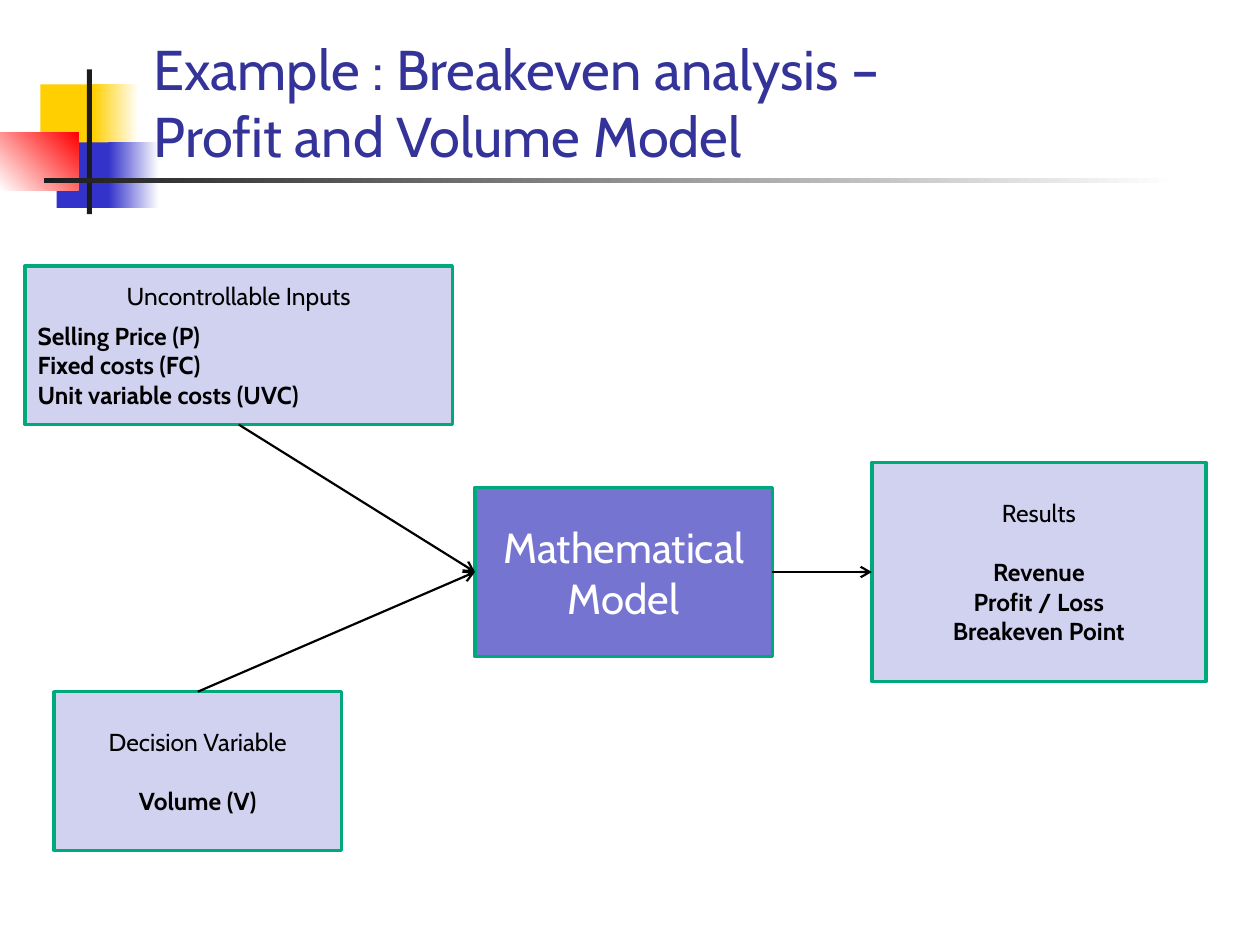
"""Build the breakeven analysis slide: two inputs, a model and its results."""
from pptx import Presentation
from pptx.dml.color import RGBColor
from pptx.enum import shapes, text
from pptx.oxml import ns
from pptx.util import Inches, Pt
from lxml import etree

YELLOW = RGBColor(0xFF, 0xCF, 0x01)
BLUE = RGBColor(0x33, 0x33, 0xCC)
RED = RGBColor(0xFF, 0x00, 0x00)
CHARCOAL = RGBColor(0x1C, 0x1C, 0x1C)
WHITE = RGBColor(0xFF, 0xFF, 0xFF)
BLACK = RGBColor(0x00, 0x00, 0x00)
NAVY = RGBColor(0x33, 0x33, 0x99)
VIOLET = RGBColor(0x75, 0x75, 0xD1)
LAVENDER = RGBColor(0xD1, 0xD1, 0xF0)
GREEN = RGBColor(0x00, 0xA9, 0x7C)
LEFT, CENTER = text.PP_ALIGN.LEFT, text.PP_ALIGN.CENTER

deck = Presentation()
deck.slide_width, deck.slide_height = Inches(10), Inches(7.5)
page = deck.slides.add_slide(deck.slide_layouts[6])


def add_rectangle(place, start, end=None, angle=0):
    box = page.shapes.add_shape(shapes.MSO_SHAPE.RECTANGLE, *map(Inches, place))
    box.shadow.inherit = False
    box.line.fill.background()
    if end is None:
        box.fill.solid()
        box.fill.fore_color.rgb = start
    else:
        box.fill.gradient()
        box.fill.gradient_angle = angle
        for stop, color in zip(box.fill.gradient_stops, (start, end)):
            stop.color.rgb = color
    return box


def add_text(frame, words, *, size=14, color=BLACK, bold=False, align=CENTER, after=0):
    para = frame.paragraphs[0]
    if para.runs:
        para = frame.add_paragraph()
    para.text = words
    para.alignment = align
    para.space_after = Pt(after)
    for span in para.runs:
        span.font.name = "Cabin"
        span.font.size = Pt(size)
        span.font.bold = bold
        span.font.color.rgb = color


for place, *paint in (
    ((0.32, 0.67, 0.48, 0.52), YELLOW),
    ((0.74, 0.67, 0.36, 0.52), YELLOW, WHITE),
    ((0.45, 1.13, 0.46, 0.52), BLUE),
    ((0.86, 1.13, 0.4, 0.52), BLUE, WHITE),
    ((0, 1.05, 0.62, 0.46), WHITE, RED, 45),
    ((0.69, 0.55, 0.04, 1.15), CHARCOAL),
    ((0.35, 1.41, 9, 0.04), CHARCOAL, WHITE),
):
    add_rectangle(place, *paint)

title = page.shapes.add_textbox(Inches(1.12), Inches(0.14), Inches(8.52), Inches(1.25))
title.text_frame.word_wrap = True
title.text_frame.vertical_anchor = text.MSO_ANCHOR.BOTTOM
add_text(title.text_frame, "Example : Breakeven analysis –\vProfit and Volume Model",
         size=32, color=NAVY, align=LEFT)

boxes = {}
for name, place, fill in (
    ("Model", (3.77, 3.87, 2.36, 1.34), VIOLET),
    ("Inputs", (0.2, 2.11, 3.39, 1.26), LAVENDER),
    ("Decision", (0.43, 5.49, 2.28, 1.26), LAVENDER),
    ("Results", (6.92, 3.67, 2.65, 1.74), LAVENDER),
):
    box = add_rectangle(place, fill)
    box.line.color.rgb = GREEN
    box.line.width = Pt(2)
    box.text_frame.word_wrap = True
    box.text_frame.vertical_anchor = text.MSO_ANCHOR.MIDDLE
    boxes[name] = box

add_text(boxes["Model"].text_frame, "Mathematical Model", size=24, color=WHITE)
for name, heading, gap, align, items in (
    ("Inputs", "Uncontrollable Inputs", 6, LEFT,
     ("Selling Price (P)", "Fixed costs (FC)", "Unit variable costs (UVC)")),
    ("Decision", "Decision Variable", 17, CENTER, ("Volume (V)",)),
    ("Results", "Results", 17, CENTER, ("Revenue", "Profit / Loss", "Breakeven Point")),
):
    frame = boxes[name].text_frame
    add_text(frame, heading, after=gap)
    for item in items:
        add_text(frame, item, bold=True, align=align)

for source, source_side, target in (
    ("Decision", 0, "Model"),
    ("Model", 3, "Results"),
    ("Inputs", 2, "Model"),
):
    arrow = page.shapes.add_connector(shapes.MSO_CONNECTOR.STRAIGHT, 0, 0, 0, 0)
    arrow.begin_connect(boxes[source], source_side)
    arrow.end_connect(boxes[target], 1)
    arrow.line.color.rgb = BLACK
    arrow.line.width = Pt(1.25)
    properties = arrow.element.spPr
    etree.SubElement(properties.find(ns.qn("a:ln")), ns.qn("a:tailEnd"), type="arrow")
    etree.SubElement(properties, ns.qn("a:effectLst"))

deck.save("out.pptx")
